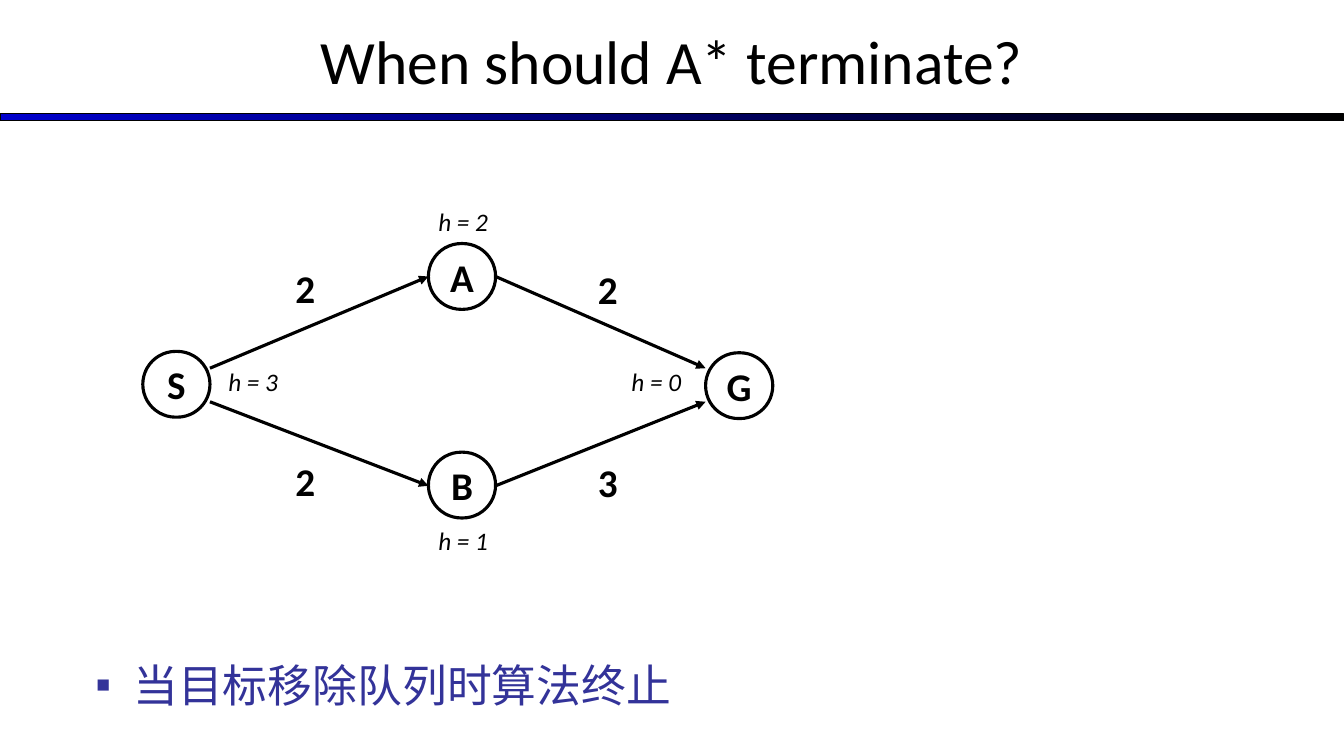
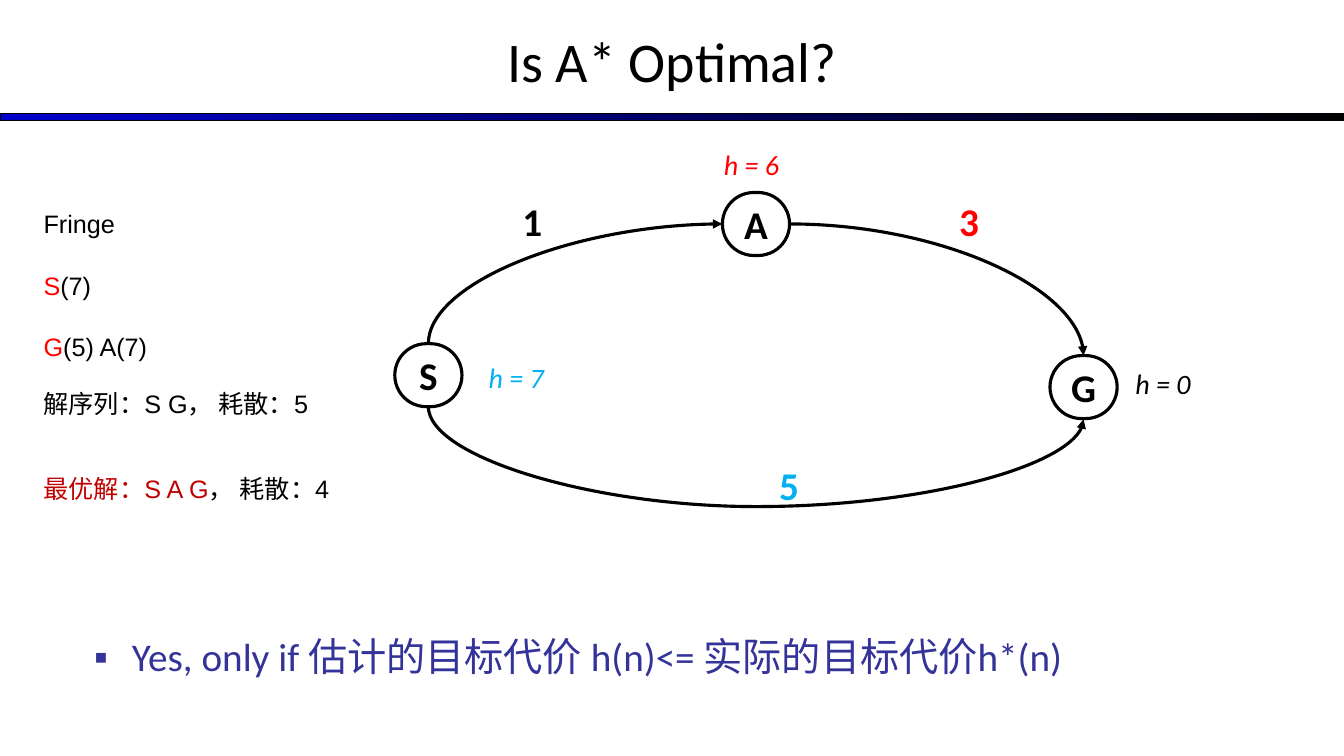
from math import cos, radians, sin

from pptx import Presentation
from pptx.dml.color import RGBColor as Rgb
from pptx.enum.dml import MSO_LINE
from pptx.enum.shapes import MSO_CONNECTOR as Link, MSO_SHAPE as Shape
from pptx.enum.text import MSO_ANCHOR as Anchor, MSO_AUTO_SIZE as Fit, PP_ALIGN as Align
from pptx.oxml.ns import qn
from pptx.oxml.xmlchemy import OxmlElement as Xml
from pptx.util import Pt

INK = {
    "black": "000000",
    "blue": "0000CC",
    "list": "333399",
    "red": "FF0000",
    "sky": "00B0F0",
    "wine": "C00000",
}
WIDE, HIGH = 960, 540
NODE = 48


def hue(name):
    return Rgb.from_string(INK[name])


def box(*sides):
    return [Pt(side) for side in sides]


def place(shape, *sides):
    shape.left, shape.top, shape.width, shape.height = box(*sides)


def style(run, size, ink="black", bold=False, slant=False, face="Calibri"):
    font = run.font
    font.name, font.size = face, Pt(size)
    font.bold, font.italic = bold, slant
    font.color.rgb = hue(ink)


def write(frame, text, size, align=Align.LEFT, **look):
    frame.text = text
    para = frame.paragraphs[0]
    para.alignment = align
    for run in para.runs:
        style(run, size, **look)
    return para


def stroke(shape, width=2.25):
    shape.line.color.rgb = hue("black")
    shape.line.width = Pt(width)


def band(slide, layout):
    bar = slide.shapes.add_shape(Shape.RECTANGLE, *box(0, 81.4, WIDE, 5))
    bar.shadow.inherit = False
    bar.fill.gradient()
    bar.fill.gradient_angle = 0
    for stop, ink in zip(bar.fill.gradient_stops, ("blue", "black")):
        stop.color.rgb = hue(ink)
    stroke(bar, 0.75)
    layout.shapes.element.append(bar.element)


def head(slide, text, size):
    title = slide.shapes.title
    place(title, 0, -2, WIDE, 90)
    title.text_frame.auto_size = Fit.NONE
    title.text_frame.vertical_anchor = Anchor.MIDDLE
    write(title.text_frame, text, size, Align.CENTER)


def bullet(slide, text, size, sides, pitch):
    body = slide.placeholders[1]
    place(body, *sides)
    body.text_frame.auto_size = Fit.NONE
    para = write(body.text_frame, text, size, ink="list")
    para.line_spacing = pitch
    para.space_before = Pt(0)
    prop = para._p.get_or_add_pPr()
    prop.set("marL", str(Pt(27)))
    prop.set("indent", str(Pt(-27)))
    tint, tone, mark = Xml("a:buClr"), Xml("a:srgbClr"), Xml("a:buChar")
    tone.set("val", INK["list"])
    tint.append(tone)
    mark.set("char", "▪")
    prop.extend([tint, mark])


def node(slide, name, x, y, tall):
    ring = slide.shapes.add_shape(Shape.ROUNDED_RECTANGLE, *box(x, y, NODE, tall))
    ring.adjustments[0] = 0.5
    ring.shadow.inherit = False
    ring.fill.background()
    stroke(ring)
    frame = ring.text_frame
    frame.word_wrap = False
    frame.vertical_anchor = Anchor.MIDDLE
    write(frame, name, 28, Align.CENTER, bold=True)


def label(slide, text, x, y, width, size, **look):
    note = slide.shapes.add_textbox(*box(x, y, width, size * 1.22 + 7.2))
    note.text_frame.word_wrap = True
    write(note.text_frame, text, size, **look)


def cost(slide, text, x, y, ink="black"):
    label(slide, text, x, y, 36, 28, ink=ink, bold=True)


def guess(slide, text, x, y, size, ink="black"):
    label(slide, text, x, y, 72, size, ink=ink, slant=True)


def arrow(slide, start, end, kind=Link.STRAIGHT):
    edge = slide.shapes.add_connector(kind, *box(*start, *end))
    stroke(edge)
    edge.line.dash_style = MSO_LINE.SOLID
    prop = edge.element.spPr
    tip = Xml("a:tailEnd")
    tip.set("type", "triangle")
    prop.find(qn("a:ln")).append(tip)
    prop.append(Xml("a:effectLst"))
    return prop


def curve(slide, start, end, turn, geom, bend=None):
    mid = [(a + b) / 2 for a, b in zip(start, end)]
    c, s = round(cos(radians(turn))), round(sin(radians(turn)))

    def flat(spot):
        x, y = spot[0] - mid[0], spot[1] - mid[1]
        return mid[0] + x * c + y * s, mid[1] - x * s + y * c

    prop = arrow(slide, flat(start), flat(end), Link.CURVE)
    prop.find(qn("a:xfrm")).set("rot", str(turn * 60000))
    form = prop.find(qn("a:prstGeom"))
    form.set("prst", geom)
    if bend:
        guide = Xml("a:gd")
        guide.set("name", "adj1")
        guide.set("fmla", f"val {round(bend * 100000)}")
        form.find(qn("a:avLst")).append(guide)


def trace(slide, rows):
    note = slide.shapes.add_textbox(*box(24, 145.5, 480, 225))
    frame = note.text_frame
    frame.word_wrap = True
    for i, (gap, parts) in enumerate(rows):
        para = frame.add_paragraph() if i else frame.paragraphs[0]
        para.space_before = Pt(gap)
        for text, ink in parts:
            run = para.add_run()
            run.text = text
            style(run, 18, ink, face="Arial")


def finish(slide):
    head(slide, "When should A* terminate?", 44)
    bullet(slide, "当目标移除队列时算法终止", 32, (61, 466, 766, 56), 1)
    for name, x, y in (("S", 102, 251), ("B", 306, 323), ("A", 306, 174), ("G", 504, 252)):
        node(slide, name, x, y, 47)
    for start, end in (
        ((354, 197.5), (504, 263)),
        ((150, 263), (306, 197.5)),
        ((150, 287), (306, 347)),
        ((354, 347), (504, 287)),
    ):
        arrow(slide, start, end)
    for text, x, y in (("2", 204, 185), ("3", 420, 324), ("2", 420, 186), ("2", 204, 323)):
        cost(slide, text, x, y)
    for text, x, y in (
        ("h = 1", 306, 372),
        ("h = 2", 306, 144),
        ("h = 0", 444, 258),
        ("h = 3", 156, 258),
    ):
        guess(slide, text, x, y, 18)


def optimal(slide):
    head(slide, "Is A* Optimal?", 40)
    bullet(slide, "Yes, only if 估计的目标代价 h(n)<= 实际的目标代价h*(n)", 28, (60, 452, 754, 74), 0.9)
    for name, x, y in (("A", 516, 137.5), ("G", 750, 254), ("S", 282, 245.5)):
        node(slide, name, x, y, 45)
    for text, x, y, ink in (
        ("1", 366, 137.5, "black"),
        ("3", 678, 137.5, "red"),
        ("5", 549.5, 326, "sky"),
    ):
        cost(slide, text, x, y, ink)
    for text, x, y, ink in (
        ("h = 6", 510, 101.5, "red"),
        ("h = 0", 804, 258.5, "black"),
        ("h = 7", 342, 254, "sky"),
    ):
        guess(slide, text, x, y, 20, ink)
    curve(slide, (306, 290.5), (774, 299.5), 270, "curvedConnector3", 7.92)
    curve(slide, (306, 245.5), (516, 160), 90, "curvedConnector2")
    curve(slide, (564, 160), (774, 254), 0, "curvedConnector2")
    trace(slide, (
        (0, [("Fringe", "black")]),
        (22.3, [("S", "red"), ("(7)", "black")]),
        (22.3, [("G", "red"), ("(5) A(7)", "black")]),
        (19, [("解序列：S G， 耗散：5", "black")]),
        (39, [("最优解：S A G", "wine"), ("， 耗散：4", "black")]),
    ))


def main():
    prs = Presentation()
    prs.slide_width, prs.slide_height = Pt(WIDE), Pt(HIGH)
    layout = prs.slide_layouts[1]
    first, second = (prs.slides.add_slide(layout) for _ in range(2))
    band(first, layout)
    finish(first)
    optimal(second)
    prs.save("out.pptx")


if __name__ == "__main__":
    main()
